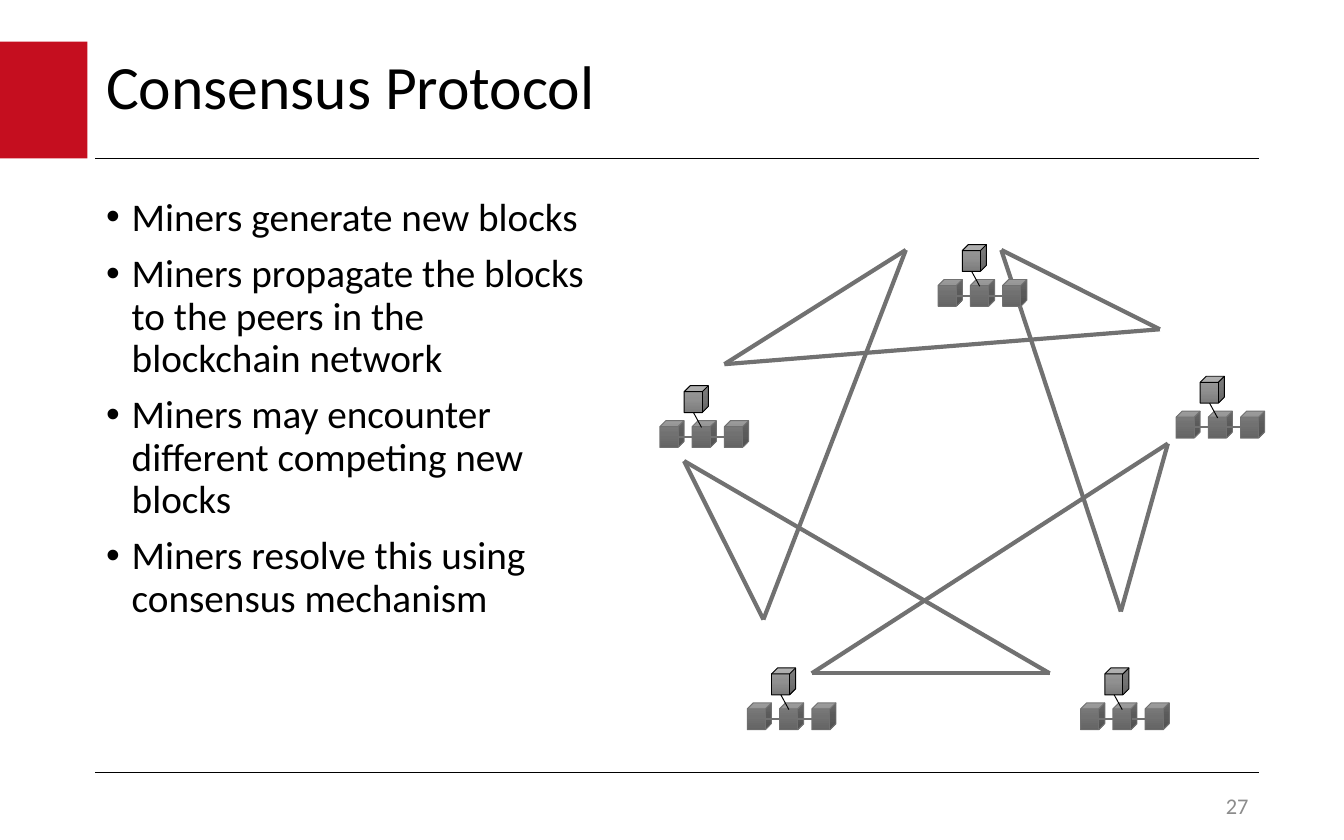
from lxml import etree
from pptx import Presentation
from pptx.dml.color import RGBColor
from pptx.enum.shapes import MSO_CONNECTOR as Link, MSO_SHAPE as Shape
from pptx.enum.text import MSO_ANCHOR as Anchor, PP_ALIGN as Align
from pptx.oxml import parse_xml
from pptx.oxml.ns import nsdecls, qn
from pptx.util import Inches, Pt

TITLE = "Consensus Protocol"
POINTS = [
    "Miners generate new blocks",
    "Miners propagate the blocks to the peers in the blockchain network",
    "Miners may encounter different competing new blocks",
    "Miners resolve this using consensus mechanism",
]
PAGE = "27"
BLACK, GRAY, RED, PALE = "000000", "717171", "C50E1F", "8C8C8C"
DARK = ["828282", "717171", "646464"]
LIGHT = ["9D9D9D", "909090", "7C7C7C"]

CHAINS = [(4.91, 2.87), (5.56, 4.97), (8.04, 4.97), (8.75, 2.8), (6.98, 1.82)]
STEP, DROP, WIDE, HIGH = 0.24, 0.26, 0.18, 0.2

ENDS = {
    "top left": (6.74, 1.86), "top right": (7.45, 1.86),
    "left up": (5.39, 2.71), "left low": (5.09, 3.43),
    "right up": (8.63, 2.45), "right low": (8.69, 3.3),
    "base left": (6.04, 5.01), "base right": (7.81, 5.01),
    "foot left": (5.68, 4.61), "foot right": (8.34, 4.55),
}
LINKS = [
    ("left low", "base right"), ("base left", "base right"),
    ("right low", "foot right"), ("top right", "right up"),
    ("top left", "left up"), ("left low", "foot left"),
    ("top left", "foot left"), ("top right", "foot right"),
    ("right up", "left up"), ("right low", "base left"),
]

deck = Presentation()
deck.slide_width, deck.slide_height = Inches(10), Inches(6.25)
slide = deck.slides.add_slide(deck.slide_layouts[6])


def tint(code):
    return RGBColor.from_string(code)


def add_text(text, box, size, color=BLACK, align=Align.LEFT,
             anchor=Anchor.MIDDLE, lead=1.0, gap=0, bullet=False):
    frame = slide.shapes.add_textbox(*map(Inches, box)).text_frame
    frame.word_wrap = True
    frame.vertical_anchor = anchor
    frame.margin_left = frame.margin_right = Inches(0.08)
    lines = [text] if isinstance(text, str) else text
    for i, line in enumerate(lines):
        para = frame.paragraphs[0] if i == 0 else frame.add_paragraph()
        para.alignment, para.line_spacing = align, lead
        if i:
            para.space_before = Pt(gap)
        if bullet:
            props = para._p.get_or_add_pPr()
            props.set("marL", str(Inches(0.19)))
            props.set("indent", str(-Inches(0.19)))
            font = etree.SubElement(props, qn("a:buFont"))
            font.set("typeface", "Arial")
            etree.SubElement(props, qn("a:buChar")).set("char", "•")
        run = para.add_run()
        run.text = line
        run.font.name, run.font.size = "Calibri", Pt(size)
        run.font.color.rgb = tint(color)


def add_line(shapes, start, end, color, width):
    line = shapes.add_connector(Link.STRAIGHT, *map(Inches, (*start, *end)))
    line.line.color.rgb = tint(color)
    line.line.width = Pt(width)
    etree.SubElement(line._element.spPr, qn("a:effectLst"))


def add_cube(shapes, x, y, tones, edge):
    cube = shapes.add_shape(Shape.CUBE, *map(Inches, (x, y, WIDE, HIGH)))
    cube.shadow.inherit = False
    stops = "".join(
        f'<a:gs pos="{i * 50000}"><a:srgbClr val="{tone}"/></a:gs>'
        for i, tone in enumerate(tones))
    cube._element.spPr.find(qn("a:prstGeom")).addnext(parse_xml(
        f'<a:gradFill {nsdecls("a")}><a:gsLst>{stops}</a:gsLst>'
        '<a:lin ang="5400000" scaled="0"/></a:gradFill>'))
    cube.line.color.rgb = tint(edge)
    cube.line.width = Pt(0.5)


def add_chain(x, y):
    shapes = slide.shapes.add_group_shape().shapes
    for i in range(3):
        add_cube(shapes, x + i * STEP, y + DROP, DARK, GRAY)
    add_cube(shapes, x + WIDE, y, LIGHT, BLACK)
    add_line(shapes, (x + 0.31, y + 0.31), (x + 0.25, y + HIGH), BLACK, 0.5)
    for i in range(2):
        left = x + i * STEP
        add_line(shapes, (left + 0.14, y + 0.38), (left + STEP, y + 0.38),
                 GRAY, 1)


block = slide.shapes.add_shape(Shape.RECTANGLE,
                               *map(Inches, (0, 0.31, 0.65, 0.87)))
block.shadow.inherit = False
block.fill.solid()
block.fill.fore_color.rgb = tint(RED)
block.line.fill.background()
for y in (1.18, 5.75):
    add_line(slide.shapes, (0.71, y), (9.37, y), BLACK, 0.75)

add_text(TITLE, (0.71, 0.31, 8.66, 0.71), 33, lead=0.9)
add_text(POINTS, (0.71, 1.42, 3.85, 4.21), 21, anchor=Anchor.TOP,
         lead=0.9, gap=7.5, bullet=True)
add_text(PAGE, (7.34, 5.87, 2.03, 0.25), 12, color=PALE, align=Align.RIGHT)

for start, end in LINKS:
    add_line(slide.shapes, ENDS[start], ENDS[end], GRAY, 2.25)
for x, y in CHAINS:
    add_chain(x, y)

deck.save("out.pptx")
